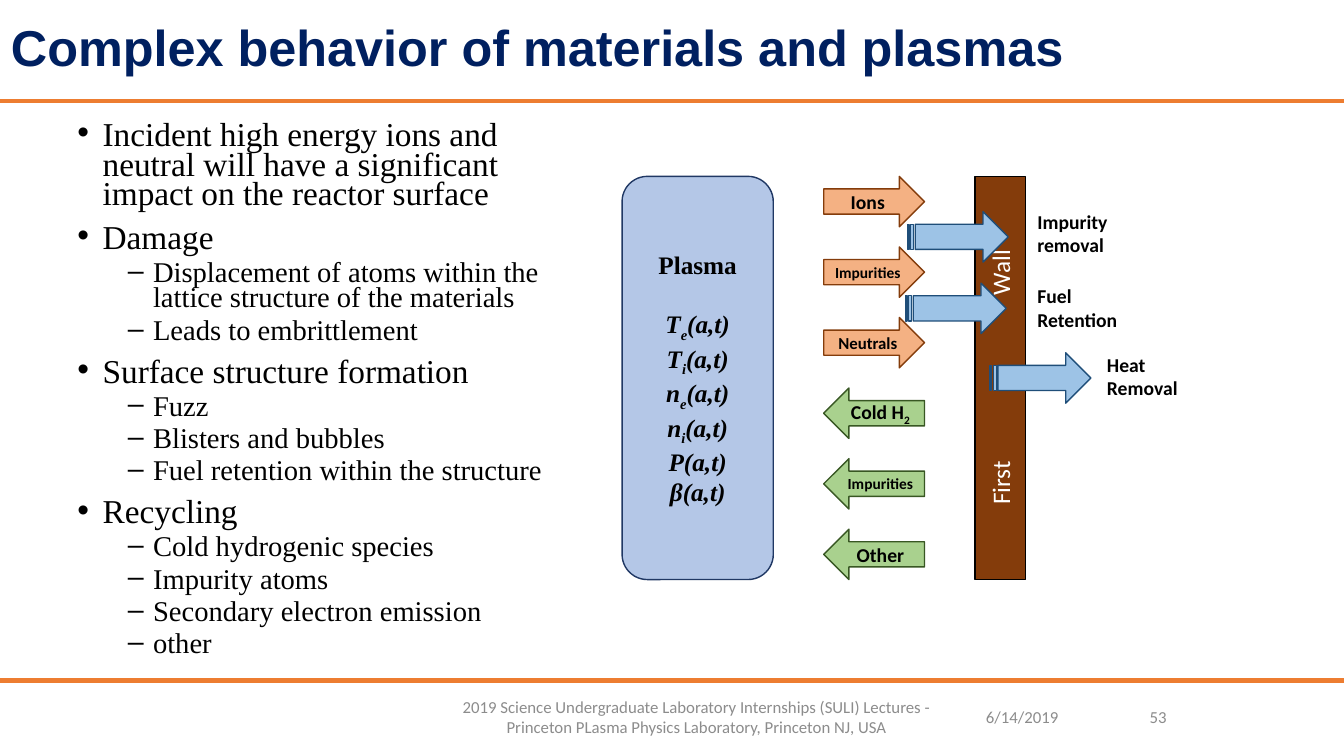
from dataclasses import dataclass
from typing import Optional

import lxml.etree
import pptx
import pptx.dml.color
import pptx.enum.shapes
import pptx.enum.text
import pptx.oxml.ns
import pptx.util

EMU_PER_PX = 9144  # 100 px to the inch
SHAPES = pptx.enum.shapes.MSO_SHAPE
ALIGN = pptx.enum.text.PP_ALIGN
ANCHOR = pptx.enum.text.MSO_ANCHOR
Box = tuple[int, int, int, int]


@dataclass(frozen=True)
class Theme:
    title: str = "002060"
    rule: str = "ED7D31"
    footer: str = "8C8C8C"
    black: str = "000000"
    white: str = "FFFFFF"
    plasma: tuple[str, str] = ("B4C7E7", "203864")
    wall: tuple[str, str] = ("843C0B", "000000")
    outgoing: tuple[str, str] = ("F4B183", "843C0B")
    returning: tuple[str, str] = ("A9D18E", "385723")
    removal: tuple[str, str] = ("9DC3E6", "1F4E79")
    heading_font: str = "Arial"
    serif: str = "Times New Roman"
    sans: str = "Calibri"
    title_size: float = 36
    diagram_size: float = 18
    label_size: float = 14
    footer_size: float = 12
    body_sizes: tuple[float, float] = (23.8, 20.4)


THEME = Theme()


@dataclass(frozen=True)
class Line:
    """One paragraph; every second piece of text is a subscript."""
    pieces: tuple[str, ...]
    level: Optional[int] = None
    size: Optional[float] = None
    before: float = 0
    italic: bool = False
    tabs: tuple[int, ...] = ()


@dataclass(frozen=True)
class Particle:
    pieces: tuple[str, ...]
    size: float
    outgoing: bool


@dataclass(frozen=True)
class Removal:
    label: str
    arrow: tuple[int, int]
    label_at: tuple[int, int]


BULLETS = ("•", "‒")
BODY = [
    (0, "Incident high energy ions and neutral will have a significant impact on the reactor surface"),
    (0, "Damage"),
    (1, "Displacement of atoms within the lattice structure of the materials"),
    (1, "Leads to embrittlement"),
    (0, "Surface structure formation"),
    (1, "Fuzz"),
    (1, "Blisters and bubbles"),
    (1, "Fuel retention within the structure"),
    (0, "Recycling"),
    (1, "Cold hydrogenic species"),
    (1, "Impurity atoms"),
    (1, "Secondary electron emission"),
    (1, "other"),
]
PLASMA = [("T", "e", "(a,t)"), ("T", "i", "(a,t)"), ("n", "e", "(a,t)"),
          ("n", "i", "(a,t)"), ("P(a,t)",), ("β(a,t)",)]
PARTICLES = [
    Particle(("Ions",), 14, True),
    Particle(("Impurities",), 11, True),
    Particle(("Neutrals",), 12, True),
    Particle(("Cold H", "2"), 14, False),
    Particle(("Impurities",), 11, False),
    Particle(("Other",), 14, False),
]
REMOVALS = [
    Removal("Heat Removal", (982, 350), (1088, 345)),
    Removal("Impurity removal", (900, 210), (1019, 203)),
    Removal("Fuel Retention", (898, 281), (1019, 277)),
]
FOOTERS = [
    ("6/14/2019", (968, 676, 100, 70), ALIGN.LEFT),
    ("2019 Science Undergraduate Laboratory Internships (SULI) Lectures - "
     "Princeton PLasma Physics Laboratory, Princeton NJ, USA", (416, 676, 550, 70), ALIGN.CENTER),
    ("53", (1067, 676, 100, 70), ALIGN.RIGHT),
]


def px(length: int) -> pptx.util.Emu:
    return pptx.util.Emu(length * EMU_PER_PX)


def rgb(color: str) -> pptx.dml.color.RGBColor:
    return pptx.dml.color.RGBColor.from_string(color)


def add_child(parent, tag: str, **attributes: str):
    return lxml.etree.SubElement(parent, pptx.oxml.ns.qn(tag), attributes)


def set_text(shape, lines: list[Line], *, size: float, font: str = THEME.sans,
             color: str = THEME.black, bold: bool = False, align=ALIGN.LEFT,
             anchor=ANCHOR.MIDDLE, spacing: Optional[float] = None) -> None:
    frame = shape.text_frame
    frame.word_wrap = True
    frame.vertical_anchor = anchor
    for index, line in enumerate(lines):
        paragraph = frame.paragraphs[0] if index == 0 else frame.add_paragraph()
        paragraph.alignment = align
        paragraph.space_before = pptx.util.Pt(line.before)
        if spacing:
            paragraph.line_spacing = spacing
        properties = paragraph._p.get_or_add_pPr()
        if line.level is not None:
            paragraph.level = line.level
            properties.set("marL", str(px(25 + 50 * line.level)))
            properties.set("indent", str(px(-25)))
            add_child(properties, "a:buFont", typeface="Arial")
            add_child(properties, "a:buChar", char=BULLETS[line.level])
        if line.tabs:
            stops = add_child(properties, "a:tabLst")
            for stop in line.tabs:
                add_child(stops, "a:tab", pos=str(px(stop)), algn="l")
        for position, piece in enumerate(line.pieces):
            run = paragraph.add_run()
            run.text = piece
            run.font.name = font
            run.font.size = pptx.util.Pt(line.size or size)
            run.font.bold = bold
            run.font.italic = line.italic
            run.font.color.rgb = rgb(color)
            if position % 2:
                run._r.get_or_add_rPr().set("baseline", "-25000")


def add_text(slide, box: Box, lines: list[Line], **text_format):
    shape = slide.shapes.add_textbox(*map(px, box))
    set_text(shape, lines, **text_format)
    return shape


def add_block(slide, kind, box: Box, colors: tuple[str, str]):
    shape = slide.shapes.add_shape(kind, *map(px, box))
    shape.shadow.inherit = False
    shape.fill.solid()
    shape.fill.fore_color.rgb = rgb(colors[0])
    shape.line.color.rgb = rgb(colors[1])
    shape.line.width = pptx.util.Pt(1)
    return shape


def add_rule(slide, top: int) -> None:
    rule = slide.shapes.add_connector(
        pptx.enum.shapes.MSO_CONNECTOR.STRAIGHT, px(0), px(top), px(1333), px(top))
    rule.line.color.rgb = rgb(THEME.rule)
    rule.line.width = pptx.util.Pt(3)
    add_child(rule._element.spPr, "a:effectLst")


def add_diagram(slide) -> None:
    # Plasma and wall
    plasma = add_block(slide, SHAPES.ROUNDED_RECTANGLE, (617, 175, 150, 400), THEME.plasma)
    quantities = [Line(pieces, italic=True, before=0 if index else 21)
                  for index, pieces in enumerate(PLASMA)]
    set_text(plasma, [Line(("Plasma",)), *quantities], size=THEME.diagram_size,
             font=THEME.serif, bold=True, align=ALIGN.CENTER)
    wall = add_block(slide, SHAPES.RECTANGLE, (967, 175, 50, 400), THEME.wall)
    frame = wall.text_frame
    frame.margin_left = frame.margin_right = frame.margin_top = frame.margin_bottom = 0
    frame._txBody.bodyPr.set("vert", "vert270")
    set_text(wall, [Line(("\tFirst\tWall",), tabs=(74, 282))],
             size=THEME.diagram_size, color=THEME.white)

    # Particle exchange
    for index, particle in enumerate(PARTICLES):
        kind = SHAPES.RIGHT_ARROW if particle.outgoing else SHAPES.LEFT_ARROW
        colors = THEME.outgoing if particle.outgoing else THEME.returning
        arrow = add_block(slide, kind, (817, 175 + 70 * index, 100, 50), colors)
        set_text(arrow, [Line(particle.pieces)], size=particle.size, bold=True,
                 align=ALIGN.CENTER)

    # Removal through the wall
    for removal in REMOVALS:
        add_block(slide, SHAPES.STRIPED_RIGHT_ARROW, (*removal.arrow, 100, 50), THEME.removal)
        add_text(slide, (*removal.label_at, 122, 57), [Line((removal.label,))],
                 size=THEME.label_size, bold=True, anchor=ANCHOR.TOP)


def main() -> None:
    presentation = pptx.Presentation()
    presentation.slide_width, presentation.slide_height = px(1333), px(750)
    slide = presentation.slides.add_slide(presentation.slide_layouts[6])

    # Title, rules and footer
    for top in (100, 675):
        add_rule(slide, top)
    add_text(slide, (1, 0, 1332, 100), [Line(("Complex behavior of materials and plasmas",))],
             size=THEME.title_size, font=THEME.heading_font, color=THEME.title, bold=True,
             spacing=0.9)
    for text, box, align in FOOTERS:
        add_text(slide, box, [Line((text,))], size=THEME.footer_size, color=THEME.footer,
                 align=align)

    add_diagram(slide)

    # Bulleted text
    body = [Line((text,), level=level, size=THEME.body_sizes[level],
                 before=(10, 5)[level] if index else 0)
            for index, (level, text) in enumerate(BODY)]
    add_text(slide, (67, 117, 500, 540), body, size=THEME.body_sizes[0], font=THEME.serif,
             anchor=ANCHOR.TOP, spacing=0.74)
    presentation.save("out.pptx")


if __name__ == "__main__":
    main()
